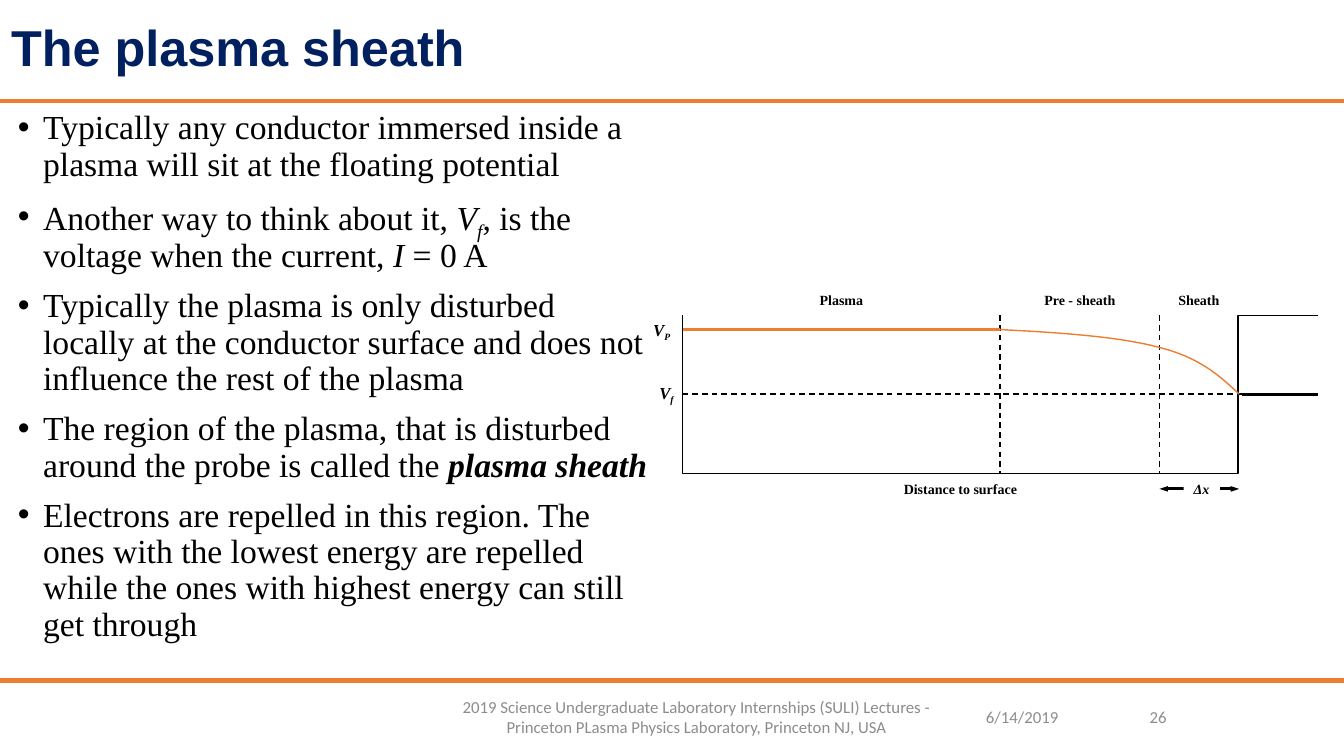
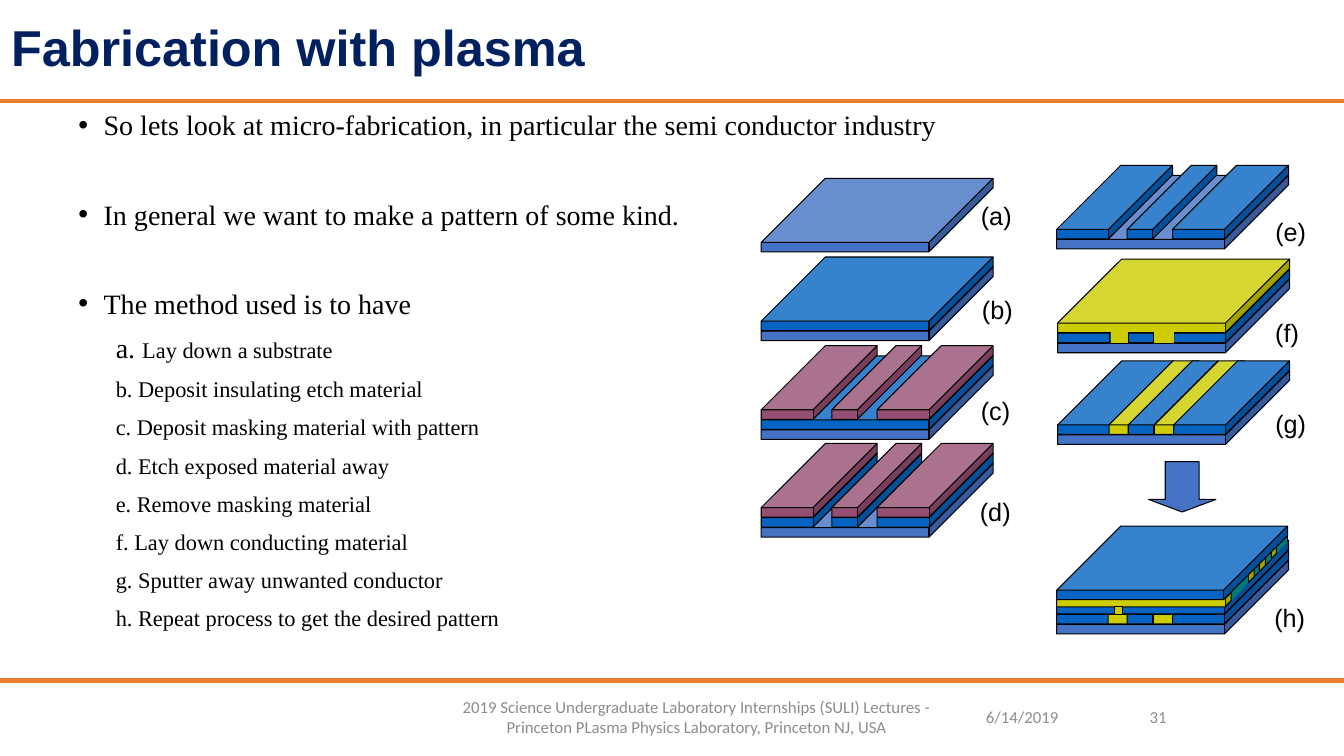
from dataclasses import dataclass

from lxml import etree
from pptx import Presentation
from pptx.dml.color import RGBColor
from pptx.enum.dml import MSO_LINE
from pptx.enum.shapes import MSO_CONNECTOR, MSO_SHAPE as SHAPE
from pptx.enum.text import MSO_ANCHOR as ANCHOR, MSO_AUTO_SIZE as FIT, PP_ALIGN as ALIGN
from pptx.oxml.ns import qn
from pptx.util import Emu, Pt

EMU_PER_PX = 9144  # 100 px to the inch
SLIDE_W, SLIDE_H = 1333, 750


@dataclass(frozen=True)
class Theme:
    # Colours
    title: str = "002060"
    accent: str = "ED7D31"
    footer: str = "8C8C8C"
    ink: str = "000000"
    paper: str = "FFFFFF"
    substrate: str = "4472C4"
    film: str = "0563C1"
    mask: str = "954F72"
    metal: str = "CCCC00"
    spacer: str = "009999"
    # Fonts
    sans: str = "Arial"
    serif: str = "Times New Roman"
    small: str = "Calibri"
    # Type sizes
    title_pt: int = 36
    body_pt: int = 24
    list_pt: int = 20
    step_pt: int = 16
    stage_pt: int = 18
    axis_pt: int = 12
    note_pt: int = 10
    # Line widths
    rule_pt: float = 3
    heavy_pt: float = 2
    thin_pt: float = 1
    edge_pt: float = 0.75


T = Theme()
FOOTER = ("2019 Science Undergraduate Laboratory Internships (SULI) Lectures - "
          "Princeton PLasma Physics Laboratory, Princeton NJ, USA")

# Strips across a block: left offset and width
FULL, LEFT, MIDDLE, RIGHT = (0, 230), (0, 115), (70, 89), (115, 115)
GAP_1, GAP_2 = (51, 89), (96, 89)
BLOCK_H, BLOCK_DEPTH, LAYER = 73, 0.871, 10


def px(length):
    return Emu(round(length * EMU_PER_PX))


def box(*lengths):
    return [px(length) for length in lengths]


def rgb(colour):
    return RGBColor.from_string(colour)


# Text
def add_run(paragraph, text, font, size, colour, style=""):
    """Style letters: b bold, i italic, s subscript."""
    run = paragraph.add_run()
    run.text = text
    run.font.name = font
    run.font.size = Pt(size)
    run.font.color.rgb = rgb(colour)
    run.font.bold = "b" in style
    run.font.italic = "i" in style
    if "s" in style:
        run._r.get_or_add_rPr().set("baseline", "-25000")


def label(slide, area, runs, font, size, colour=T.ink, align=ALIGN.LEFT,
          anchor=ANCHOR.MIDDLE, wrap=True, fill=None):
    holder = slide.shapes.add_textbox(*box(*area))
    frame = holder.text_frame
    frame.word_wrap = wrap
    frame.vertical_anchor = anchor
    if not wrap:
        frame.auto_size = FIT.SHAPE_TO_FIT_TEXT
    if fill:
        holder.fill.solid()
        holder.fill.fore_color.rgb = rgb(fill)
    paragraph = frame.paragraphs[0]
    paragraph.alignment = align
    for text, style in runs:
        add_run(paragraph, text, font, size, colour, style)


def body(slide, area, items):
    """Each item: (indent, bullet, space before, [(text, size, style), ...])."""
    frame = slide.shapes.add_textbox(*box(*area)).text_frame
    frame.word_wrap = True
    for number, (indent, bullet, gap, runs) in enumerate(items):
        paragraph = frame.add_paragraph() if number else frame.paragraphs[0]
        properties = paragraph._p.get_or_add_pPr()
        properties.set("marL", str(px(indent)))
        properties.set("indent", str(px(-25)))
        if bullet:
            etree.SubElement(properties, qn("a:buFont")).set("typeface", T.sans)
            etree.SubElement(properties, qn("a:buChar")).set("char", "•")
        paragraph.line_spacing = 0.9
        paragraph.space_before = Pt(gap if number else 0)
        for text, size, style in runs:
            add_run(paragraph, text, T.serif, size, T.ink, style)


# Lines and shapes
def line(slide, start, end, width=T.thin_pt, colour=T.ink, dashed=False, arrows=False):
    stroke = slide.shapes.add_connector(MSO_CONNECTOR.STRAIGHT, *box(*start, *end))
    stroke.line.color.rgb = rgb(colour)
    stroke.line.width = Pt(width)
    if dashed:
        stroke.line.dash_style = MSO_LINE.DASH
    if arrows:
        ln = stroke.line._get_or_add_ln()
        for tag in ("a:headEnd", "a:tailEnd"):
            tip = etree.SubElement(ln, qn(tag))
            tip.set("type", "triangle")
            tip.set("w", "sm")
    etree.SubElement(stroke._element.spPr, qn("a:effectLst"))


def outline(slide, points, colour):
    first, *rest = [box(*point) for point in points]
    builder = slide.shapes.build_freeform(*first, scale=1.0)
    builder.add_line_segments(rest, close=False)
    trace = builder.convert_to_shape()
    trace.shadow.inherit = False
    trace.fill.background()
    trace.line.color.rgb = rgb(colour)
    trace.line.width = Pt(T.thin_pt)


def bezier(p0, p1, p2, p3, steps=24):
    for step in range(steps + 1):
        t = step / steps
        u = 1 - t
        yield [u**3 * a + 3 * u * u * t * b + 3 * u * t * t * c + t**3 * d
               for a, b, c, d in zip(p0, p1, p2, p3)]


def solid(slide, kind, area, fill, edge=T.ink, adjust=()):
    shape = slide.shapes.add_shape(kind, *box(*area))
    shape.shadow.inherit = False
    shape.fill.solid()
    shape.fill.fore_color.rgb = rgb(fill)
    if edge:
        shape.line.color.rgb = rgb(edge)
        shape.line.width = Pt(T.edge_pt)
    else:
        shape.line.fill.background()
    for index, value in enumerate(adjust):
        shape.adjustments[index] = value


# Fabrication blocks
def ridges(level, *materials):
    return [(level + rise, strip, material)
            for strip in (LEFT, MIDDLE, RIGHT)
            for rise, material in enumerate(materials)]


def inlay():
    strips = (LEFT, GAP_1, MIDDLE, GAP_2, RIGHT)
    return [(1, strip, T.metal if strip in (GAP_1, GAP_2) else T.film) for strip in strips]


def stage(slide, x, y, layers):
    for level, (offset, width), material in [(0, FULL, T.substrate), *layers]:
        solid(slide, SHAPE.CUBE, (x + offset, y - level * LAYER, width, BLOCK_H),
              material, adjust=[BLOCK_DEPTH])


def wiring(slide):
    """Second metal level of stage (h), from back to front; capitals have edges."""
    for i, kind in enumerate("ssMSMSMsssM"):
        solid(slide, SHAPE.CUBE, (1104 - 28 * i // 5, 530 + 29 * i // 5, 173, 14),
              T.metal if kind == "M" else T.spacer,
              edge=T.ink if kind.isupper() else None, adjust=[0.419])
    solid(slide, SHAPE.RECTANGLE, (1105, 602, 8, 8), T.metal)
    line(slide, (1277, 530), (1277, 538), T.edge_pt)
    solid(slide, SHAPE.CUBE, (1048, 522, 229, BLOCK_H), T.film, adjust=[BLOCK_DEPTH])


# Shared slide frame
def new_slide(deck, title, number):
    slide = deck.slides.add_slide(deck.slide_layouts[5])
    for y in (100, 675):
        line(slide, (0, y), (SLIDE_W, y), T.rule_pt, T.accent)
    heading = slide.shapes.title
    heading.left, heading.top, heading.width, heading.height = box(1, 0, 1332, 100)
    frame = heading.text_frame
    frame.auto_size = FIT.NONE
    frame.vertical_anchor = ANCHOR.MIDDLE
    paragraph = frame.paragraphs[0]
    paragraph.alignment = ALIGN.LEFT
    paragraph.line_spacing = 0.9
    add_run(paragraph, title, T.sans, T.title_pt, T.title, "b")
    for x, width, text, align in ((968, 100, "6/14/2019", ALIGN.LEFT),
                                  (416, 550, FOOTER, ALIGN.CENTER),
                                  (1067, 100, number, ALIGN.RIGHT)):
        label(slide, (x, 676, width, 70), [(text, "")], T.small, T.axis_pt, T.footer, align)
    return slide


def sheath_slide(deck):
    slide = new_slide(deck, "The plasma sheath", "26")
    points = [
        [("Typically any conductor immersed inside a plasma will sit at the floating "
          "potential", "")],
        [("Another way to think about it, ", ""), ("V", "i"), ("f", "is"),
         (", is the voltage when the current, ", ""), ("I", "i"), (" = 0 A", "")],
        [("Typically the plasma is only disturbed locally at the conductor surface and "
          "does not influence the rest of the plasma", "")],
        [("The region of the plasma, that is disturbed around the probe is called the ", ""),
         ("plasma sheath", "bi")],
        [("Electrons are repelled in this region. The ones with the lowest energy are "
          "repelled while the ones with highest energy can still get through", "")],
    ]
    body(slide, (8, 105, 650, 565),
         [(25, True, 10, [(text, T.body_pt, style) for text, style in runs])
          for runs in points])

    # Potential diagram
    axis, presheath, sheath, wall, end = 677, 992, 1150, 1228, 1307
    top, plasma_v, floating_v, base = 313, 327, 391, 470
    outline(slide, [(axis, top), (axis, base), (wall, base), (wall, top), (end, top)], T.ink)
    line(slide, (axis, floating_v), (1232, floating_v), dashed=True)
    for x in (sheath, presheath):
        line(slide, (x, top), (x, base), dashed=True)
    line(slide, (1232, floating_v), (end, floating_v), T.heavy_pt)
    line(slide, (axis, plasma_v), (presheath, plasma_v), T.heavy_pt, T.accent)
    bend = (1151, 345)
    fall = [*bezier((presheath, plasma_v), (1051, 330), (1111, 334), bend),
            *list(bezier(bend, (1190, 355), (1210, 373), (1229, floating_v)))[1:]]
    outline(slide, fall, T.accent)

    # Diagram labels
    for x, y, width, subscript in ((638, 312, 39, "P"), (644, 375, 35, "f")):
        label(slide, (x, y, width, 30), [("V", "bi"), (subscript, "bis")], T.serif,
              T.axis_pt, anchor=ANCHOR.TOP, wrap=False)
    line(slide, (sheath, 485), (1229, 485), T.heavy_pt, arrows=True)
    label(slide, (1174, 472, 36, 27), [("Δx", "bi")], T.serif, T.note_pt,
          wrap=False, fill=T.paper)
    for left, right, y, text in ((axis, wall, 472, "Distance to surface"),
                                 (axis, presheath, 284, "Plasma"),
                                 (presheath, sheath, 284, "Pre - sheath"),
                                 (sheath, wall, 284, "Sheath")):
        label(slide, (left, y, right - left, 27), [(text, "b")], T.serif, T.note_pt,
              align=ALIGN.CENTER)


def fabrication_slide(deck):
    slide = new_slide(deck, "Fabrication with plasma", "31")
    points = ["So lets look at micro-fabrication, in particular the semi conductor industry",
              "In general we want to make a pattern of some kind.",
              "The method used is to have"]
    steps = ["b. Deposit insulating etch material", "c. Deposit masking material with pattern",
             "d. Etch exposed material away", "e. Remove masking material",
             "f. Lay down conducting material", "g. Sputter away unwanted conductor",
             "h. Repeat process to get the desired pattern"]
    body(slide, (68, 106, 900, 560),
         [(25, True, 42, [(text, T.list_pt, "")]) for text in points]
         + [(62, False, 10, [("a. ", T.list_pt, ""), ("Lay down a substrate", T.step_pt, "")])]
         + [(62, False, 10, [(text, T.step_pt, "")]) for text in steps])

    # Process stages: block position and layers above the substrate
    stages = [
        (755, 177, []),
        (755, 265, [(1, FULL, T.film)]),
        (755, 363, [(1, FULL, T.film), *ridges(2, T.mask)]),
        (755, 460, ridges(1, T.film, T.mask)),
        (1048, 174, ridges(1, T.film)),
        (1049, 277, [*ridges(1, T.film), (2, FULL, T.metal)]),
        (1049, 368, inlay()),
        (1048, 556, [*inlay(), (2, FULL, T.film)]),
    ]
    for x, y, layers in stages:
        stage(slide, x, y, layers)
    for plug in ((1102, 326, 16, 14), (1145, 324, 19, 16)):
        solid(slide, SHAPE.RECTANGLE, plug, T.metal, edge=T.metal)
    wiring(slide)
    solid(slide, SHAPE.DOWN_ARROW, (1139, 458, 67, 50), T.substrate, adjust=[0.5, 0.25])

    # Stage letters
    spots = [(963, 194), (964, 287), (963, 387), (962, 487),
             (1255, 210), (1255, 310), (1255, 400), (1254, 593)]
    for letter, (x, y) in zip("abcdefgh", spots):
        width = {"c": 49, "f": 44}.get(letter, 51)
        label(slide, (x, y, width, 40), [(f"({letter})", "")], T.sans, T.stage_pt,
              anchor=ANCHOR.TOP, wrap=False)


def main():
    deck = Presentation()
    deck.slide_width, deck.slide_height = box(SLIDE_W, SLIDE_H)
    sheath_slide(deck)
    fabrication_slide(deck)
    deck.save("out.pptx")


if __name__ == "__main__":
    main()
